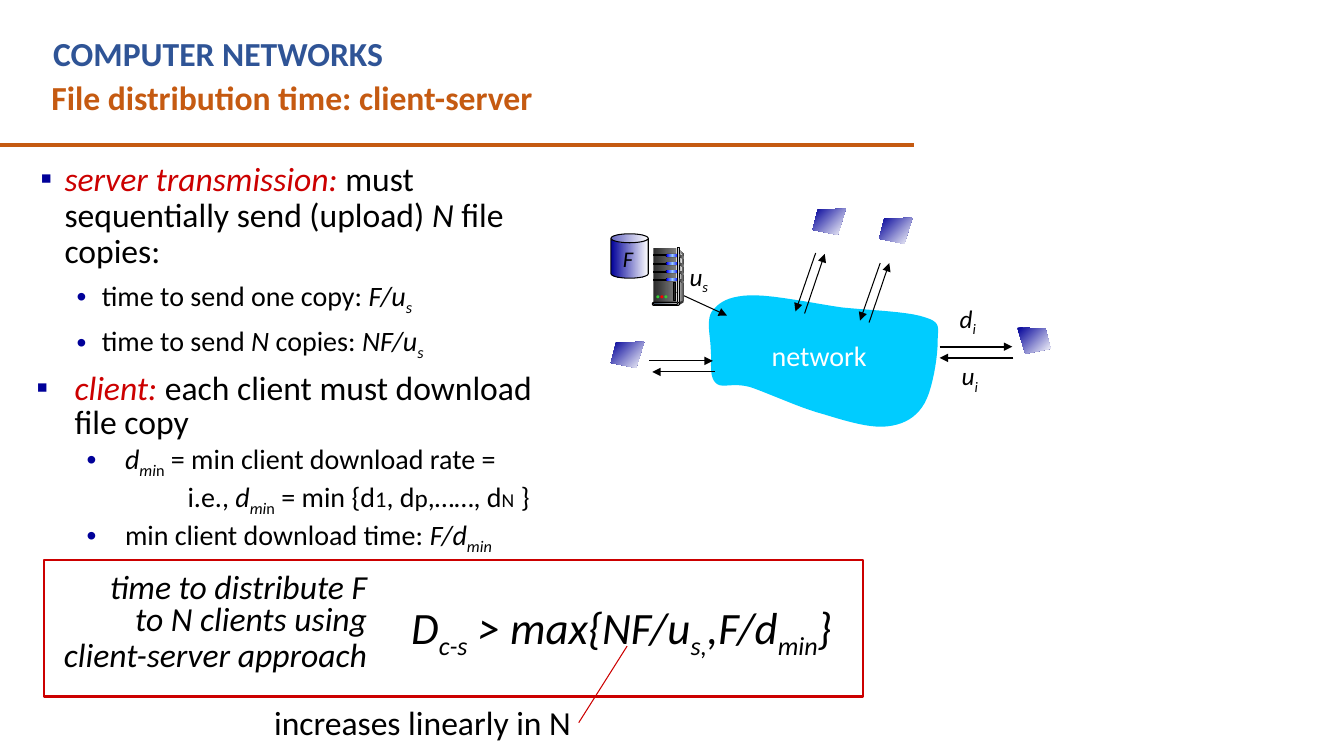
from lxml import etree
from pptx import Presentation
from pptx import util as u
from pptx.dml.color import RGBColor
from pptx.enum import shapes as s
from pptx.enum import text as t
from pptx.oxml.ns import qn

CELL = u.Inches(1)
COLUMNS, ROWS = 13.33, 7.5

BLACK = RGBColor(0, 0, 0)
WHITE = RGBColor(255, 255, 255)
RED = RGBColor(0xCC, 0, 0)
ORANGE = RGBColor(0xC5, 0x5A, 0x11)
HEADING_BLUE = RGBColor(0x2F, 0x54, 0x96)
NAVY = RGBColor(0, 0, 0x99)
CYAN = RGBColor(0, 0xCC, 0xFF)
CHARCOAL = RGBColor(0x29, 0x29, 0x29)
DARK_GRAY = RGBColor(0x33, 0x33, 0x33)
GRAY = RGBColor(0x80, 0x80, 0x80)
LIGHT_GRAY = RGBColor(0xDD, 0xDD, 0xDD)
PALE_GRAY = RGBColor(0xF8, 0xF8, 0xF8)
BLUE = RGBColor(0, 0, 0xFF)
SKY = RGBColor(0x99, 0xCC, 0xFF)
SLATE = RGBColor(0x44, 0x54, 0x6A)
MIST = RGBColor(0xE7, 0xE6, 0xE6)
GREEN = RGBColor(0x33, 0xCC, 0x33)
LED_RED = RGBColor(0xFF, 0, 0)

ITALIC = {"italic": True}
SUB = {"italic": True, "sub": True}
SUB_UPRIGHT = {"sub": True}
KEYWORD = {"italic": True, "color": RED}

NETWORK_START = (7.43, 2.93)
NETWORK_CURVES = [
    ((7.22, 2.94), (7.13, 3), (7.06, 3.09)), ((7, 3.18), (7.05, 3.36), (7.05, 3.48)),
    ((7.06, 3.59), (7.03, 3.74), (7.1, 3.8)), ((7.16, 3.86), (7.26, 3.79), (7.44, 3.84)),
    ((7.62, 3.9), (7.94, 4.05), (8.17, 4.11)), ((8.4, 4.18), (8.63, 4.25), (8.8, 4.23)),
    ((8.97, 4.21), (9.09, 4.14), (9.17, 4)), ((9.25, 3.86), (9.3, 3.54), (9.3, 3.39)),
    ((9.3, 3.25), (9.34, 3.2), (9.18, 3.15)), ((9.02, 3.09), (8.64, 3.08), (8.35, 3.05)),
    ((8.07, 3.01), (7.65, 2.92), (7.43, 2.93)),
]


def grid(*cells):
    return [round(cell * CELL) for cell in cells]


def add_run(paragraph, text, *, size=24, color=BLACK, italic=False, bold=False, sub=False):
    run = paragraph.add_run()
    run.text = text
    font = run.font
    font.name, font.size, font.italic, font.bold = "Calibri", u.Pt(size), italic, bold
    font.color.rgb = color
    if sub:
        run._r.get_or_add_rPr().set("baseline", "-25000")


def fill_paragraph(paragraph, runs, *, spacing=1.0, before=0, align=t.PP_ALIGN.LEFT, **style):
    """Write (text, format) pairs; style holds the defaults of every run."""
    paragraph.alignment, paragraph.line_spacing = align, spacing
    paragraph.space_before, paragraph.space_after = u.Pt(before), u.Pt(0)
    for text, extra in runs:
        add_run(paragraph, text, **{**style, **extra})


def set_frame(shape, box):
    shape.left, shape.top, shape.width, shape.height = grid(*box)
    frame = shape.text_frame
    frame.word_wrap, frame.auto_size = True, t.MSO_AUTO_SIZE.NONE
    frame.vertical_anchor = t.MSO_ANCHOR.TOP
    return frame


def add_label(shapes, box, *runs, **style):
    frame = set_frame(shapes.add_textbox(0, 0, 0, 0), box)
    fill_paragraph(frame.paragraphs[0], runs, **style)


def fill_list(placeholder, box, items):
    """Each item is (level, margin, hanging, bullet, format, runs)."""
    frame = set_frame(placeholder, box)
    for index, (level, margin, hanging, bullet, style, runs) in enumerate(items):
        paragraph = frame.add_paragraph() if index else frame.paragraphs[0]
        paragraph.level = level
        fill_paragraph(paragraph, runs, **style)
        properties = paragraph._p.get_or_add_pPr()
        left, indent = grid(margin, -hanging)
        properties.set("marL", str(left))
        properties.set("indent", str(indent))
        if bullet:
            color = etree.SubElement(properties, qn("a:buClr"))
            etree.SubElement(color, qn("a:srgbClr"), val=str(NAVY))
            etree.SubElement(properties, qn("a:buChar"), char=bullet)
        else:
            etree.SubElement(properties, qn("a:buNone"))


def paint(shape, colors, line=None, width=0.75, angle=0):
    """Fill with nothing, one colour or an even gradient of several."""
    shape.shadow.inherit = False
    if not colors:
        shape.fill.background()
    elif len(colors) == 1:
        shape.fill.solid()
        shape.fill.fore_color.rgb = colors[0]
    else:
        shape.fill.gradient()
        shape.fill.gradient_angle = -angle % 360
        stops = shape._element.spPr.find(".//" + qn("a:gsLst"))
        for stop in list(stops):
            stops.remove(stop)
        for index, color in enumerate(colors):
            position = str(round(100000 * index / (len(colors) - 1)))
            stop = etree.SubElement(stops, qn("a:gs"), pos=position)
            etree.SubElement(stop, qn("a:srgbClr"), val=str(color))
    if line is None:
        shape.line.fill.background()
    else:
        shape.line.color.rgb, shape.line.width = line, u.Pt(width)


def add_block(shapes, kind, box, colors=(), adjust=None, **look):
    shape = shapes.add_shape(getattr(s.MSO_SHAPE, kind), *grid(*box))
    if adjust is not None:
        shape.adjustments[0] = adjust
    paint(shape, colors, **look)


def add_outline(shapes, points, colors, **look):
    builder = shapes.build_freeform(*grid(*points[0]))
    builder.add_line_segments([grid(*point) for point in points[1:]], close=True)
    paint(builder.convert_to_shape(), colors, **look)


def add_line(shapes, start, end, color=BLACK, width=0.75, arrow=True):
    connector = shapes.add_connector(s.MSO_CONNECTOR.STRAIGHT, *grid(*start, *end))
    connector.line.color.rgb, connector.line.width = color, u.Pt(width)
    properties = connector._element.spPr
    if arrow:
        etree.SubElement(properties.find(qn("a:ln")), qn("a:tailEnd"), type="triangle")
    etree.SubElement(properties, qn("a:effectLst"))


def curve_points(start, curves, steps=10):
    """Flatten joined cubic curves into points."""
    points = [start]
    for curve in curves:
        corners = (points[-1], *curve)
        for step in range(1, steps + 1):
            k = step / steps
            weights = ((1 - k) ** 3, 3 * k * (1 - k) ** 2, 3 * k * k * (1 - k), k ** 3)
            points.append(tuple(sum(w * corner[axis] for w, corner in zip(weights, corners))
                                for axis in (0, 1)))
    return points


def add_client(shapes, left, top, mirrored=False):
    width = 0.33
    corners = [(width, 0), (0.05, 0.01), (0, 0.21), (0.25, 0.26)]
    points = [(left + (width - x if mirrored else x), top + y) for x, y in corners]
    add_outline(shapes, points, (NAVY, WHITE), angle=45)


def add_server(shapes):
    add_outline(shapes, [(6.73, 2.47), (6.79, 2.53), (6.78, 2.98), (6.72, 3.01)],
                (LIGHT_GRAY, DARK_GRAY))
    add_block(shapes, "RECTANGLE", (6.48, 2.46, 0.23, 0.54), (CHARCOAL, GRAY))
    add_outline(shapes, [(6.73, 2.5), (6.77, 2.54), (6.74, 2.85), (6.73, 2.99)], (GRAY, PALE_GRAY))
    slots = [2.52 + 0.08 * row for row in range(4)]
    for top in slots:
        add_block(shapes, "RECTANGLE", (6.48, top + 0.01, 0.13, 0.01), [BLACK], line=BLACK)
        add_block(shapes, "ROUNDED_RECTANGLE", (6.6, top, 0.13, 0.03), [BLACK], 0.5)
        add_block(shapes, "ROUNDED_RECTANGLE", (6.61, top, 0.12, 0.03), (BLUE, SKY, BLUE), 0.5)
    add_block(shapes, "RECTANGLE", (6.72, 2.46, 0.02, 0.54),
              (DARK_GRAY, LIGHT_GRAY, DARK_GRAY), line=BLACK)
    for top in slots:
        add_outline(shapes, [(6.73, top), (6.78, top + 0.03), (6.78, top + 0.05),
                             (6.73, top + 0.02)], (CHARCOAL, GRAY))
    add_outline(shapes, [(6.73, 3), (6.73, 3.03), (6.78, 3), (6.78, 2.98)], [DARK_GRAY])
    add_block(shapes, "ROUNDED_RECTANGLE", (6.47, 3, 0.27, 0.03), [LIGHT_GRAY], 0.5, line=BLACK)
    add_block(shapes, "ROUNDED_RECTANGLE", (6.48, 3, 0.24, 0.02), (SLATE, MIST), 0.5, line=BLACK)
    for index, color in enumerate((GREEN, LED_RED, GREEN)):
        add_block(shapes, "OVAL", (6.51 + 0.04 * index, 2.93, 0.03, 0.03), [color])
    add_block(shapes, "RECTANGLE", (6.68, 2.8, 0.02, 0.18), [CHARCOAL], line=BLACK)


def add_network(shapes):
    center = t.PP_ALIGN.CENTER
    add_outline(shapes, curve_points(NETWORK_START, NETWORK_CURVES), [CYAN])
    for start, end in [((6.71, 2.9), (7.21, 3.13)), ((6.44, 3.58), (7.07, 3.58)),
                       ((7.09, 3.69), (6.47, 3.69)), ((8.73, 2.61), (8.53, 3.18)),
                       ((8.62, 3.2), (8.82, 2.61)), ((8.09, 2.51), (7.89, 3.09)),
                       ((7.98, 3.11), (8.18, 2.52))]:
        add_line(shapes, start, end)
    add_line(shapes, (9.32, 3.44), (10.04, 3.44), width=1.5)
    add_line(shapes, (10.05, 3.55), (9.32, 3.55), width=1.5)
    add_block(shapes, "CAN", (6.06, 2.32, 0.37, 0.44), (NAVY, WHITE), 0.24, line=BLACK)
    add_label(shapes, (5.8, 2.38, 0.86, 0.37), ("F", ITALIC), size=16, align=center)
    add_label(shapes, (7.55, 3.31, 1.15, 0.44), ("network", {}), size=20, color=WHITE, align=center)
    for left, top, rate, index in [(6.74, 2.54, "u", "s"), (9.42, 2.96, "d", "i"),
                                   (9.44, 3.53, "u", "i")]:
        add_label(shapes, (left, top, 0.55, 0.4), (rate, ITALIC), (index, SUB), size=18)
    add_server(shapes)
    for left, top, mirrored in [(6.06, 3.39, False), (8.06, 2.07, False),
                                (8.72, 2.16, False), (10.09, 3.25, True)]:
        add_client(shapes, left, top, mirrored)


def add_lists(server_list, client_list):
    step = {"size": 20, "before": 5}
    detail = {"size": 20, "spacing": 0.99}
    d_min = [("d", ITALIC), ("mi", SUB), ("n", SUB_UPRIGHT)]
    fill_list(server_list, (0.15, 1.56, 5.56, 2.2), [
        (0, 0.39, 0.24, "▪", {"spacing": 0.9},
         [("server transmission: ", KEYWORD), ("must sequentially send (upload) ", {}),
          ("N ", ITALIC), ("file copies:", {})]),
        (1, 0.76, 0.25, "•", step, [("time to send one copy: ", {}), ("F/u", ITALIC), ("s", SUB)]),
        (1, 0.76, 0.25, "•", step, [("time to send ", {}), ("N", ITALIC), (" copies: ", {}),
                                    ("NF/u", ITALIC), ("s", SUB)])])
    fill_list(client_list, (0.26, 3.65, 5.54, 2.2), [
        (0, 0.38, 0.38, "▪", {"spacing": 0.85},
         [("client: ", KEYWORD), ("each client must download file copy", {})]),
        (1, 0.88, 0.38, "•", detail, [*d_min, (" = min client download rate =", {})]),
        (1, 1.5, 0, None, detail,
         [("i.e., ", {}), *d_min, (" = min {d", {}), ("1", {"size": 16}), (", d", {}),
          ("p", {"size": 18}), (",……, d", {}), ("N", {"size": 14}), (" }", {})]),
        (1, 0.88, 0.38, "•", detail,
         [("min client download time: ", {}), ("F/d", ITALIC), ("min", SUB)])])


def add_result(shapes):
    add_line(shapes, (5.74, 7.17), (6.22, 6.41), color=RED, arrow=False)
    add_label(shapes, (2.62, 6.99, 3.4, 0.43), ("increases linearly in N", {}), spacing=0.8)
    frame = set_frame(shapes.add_textbox(0, 0, 0, 0), (0.4, 5.64, 3.34, 1.13))
    for index, line in enumerate(("time to distribute F", "to N clients using",
                                  "client-server approach")):
        paragraph = frame.add_paragraph() if index else frame.paragraphs[0]
        fill_paragraph(paragraph, [(line, ITALIC)], align=t.PP_ALIGN.RIGHT,
                       spacing=0.93 if index == 2 else 0.8)
    add_block(shapes, "RECTANGLE", (0.44, 5.56, 8.12, 1.35), line=RED, width=1.5)
    add_label(shapes, (3.98, 5.9, 4.75, 0.64), ("D", ITALIC), ("c-s", SUB),
              (" > max{NF/u", ITALIC), ("s,", SUB), (",F/d", ITALIC), ("min", SUB),
              ("}", ITALIC), size=32)


def main():
    presentation = Presentation()
    presentation.slide_width, presentation.slide_height = grid(COLUMNS, ROWS)
    slide = presentation.slides.add_slide(presentation.slide_layouts[3])
    title, server_list, client_list = slide.placeholders
    add_line(slide.shapes, (0, 1.44), (9.07, 1.44), color=ORANGE, width=3, arrow=False)
    add_label(slide.shapes, (0.43, 0.28, 8.2, 0.5), ("COMPUTER NETWORKS", {}),
              color=HEADING_BLUE, bold=True)
    fill_paragraph(set_frame(title, (0.41, 0.71, 8.75, 0.5)).paragraphs[0],
                   [("File distribution time: client-server", {})], color=ORANGE, bold=True)
    add_lists(server_list, client_list)
    add_network(slide.shapes.add_group_shape().shapes)
    add_result(slide.shapes)
    presentation.save("out.pptx")


if __name__ == "__main__":
    main()
